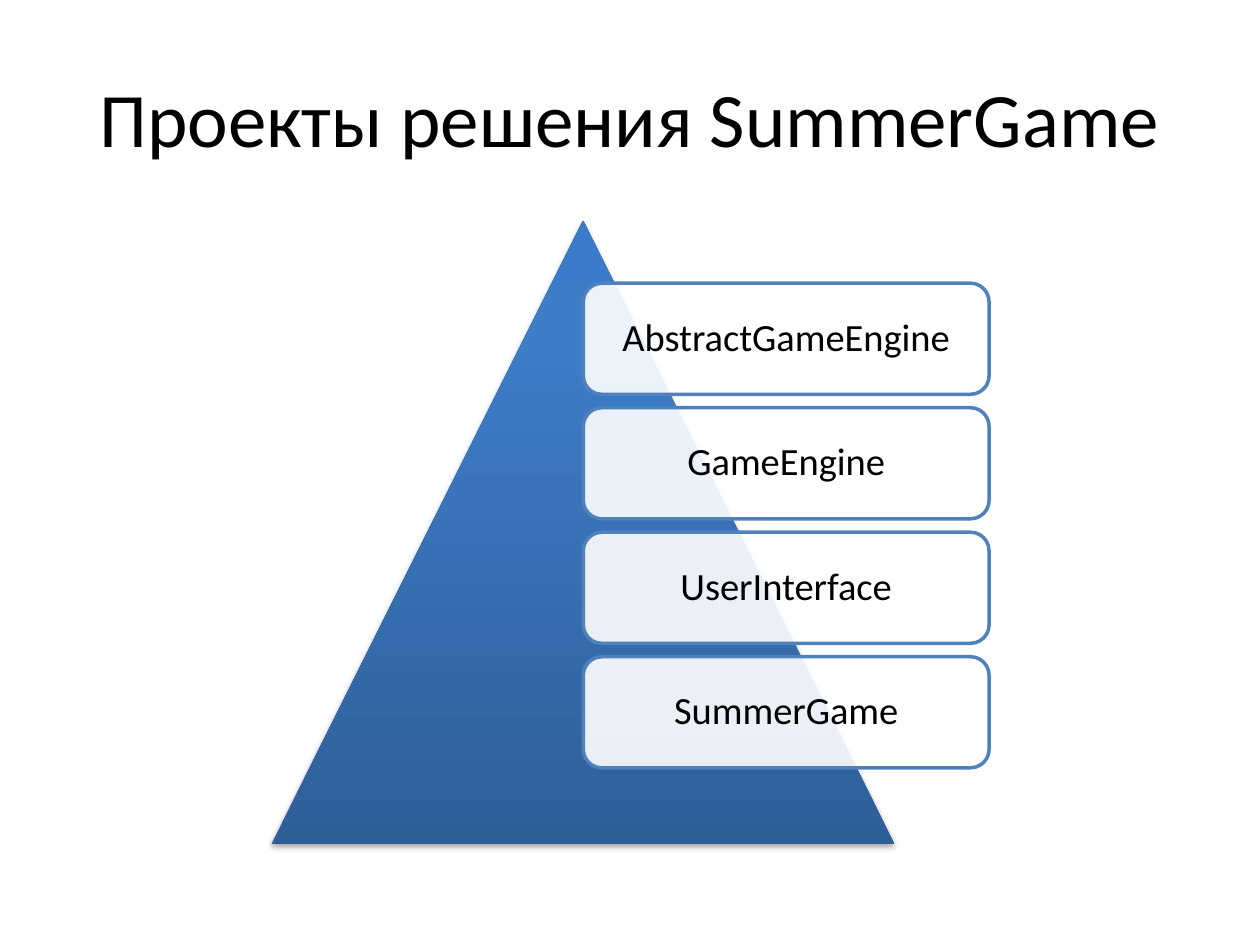
from lxml.etree import SubElement as Sub
from pptx import Presentation
from pptx.dml.color import RGBColor
from pptx.enum.shapes import MSO_SHAPE as Shape
from pptx.enum.text import MSO_ANCHOR as Anchor, PP_ALIGN as Align
from pptx.oxml.ns import qn
from pptx.util import Cm, Pt


def color(code):
    return RGBColor.from_string(code)


def shade(node, code, alpha=None):
    tone = Sub(node, qn("a:srgbClr"), val=code)
    if alpha is not None:
        Sub(tone, qn("a:alpha"), val=str(alpha * 1000))


def write(frame, text, size=22, font="Calibri", ink="000000", inset=0.23, space=None):
    frame.word_wrap = True
    frame.vertical_anchor = Anchor.MIDDLE
    frame.margin_left = frame.margin_right = Cm(inset)
    frame.margin_top = frame.margin_bottom = Cm(inset)
    para = frame.paragraphs[0]
    para.alignment = Align.CENTER
    para.line_spacing = space
    run = para.add_run()
    run.text = text
    run.font.size = Pt(size)
    run.font.name = font
    run.font.color.rgb = color(ink)


class Deck:
    edge = "4F81BD"
    ramp = [(0, "2F5F99"), (80, "3D7CC7"), (100, "3A7CCB")]

    def __init__(self):
        self.show = Presentation()
        self.show.slide_width = Cm(25.4)
        self.show.slide_height = Cm(19.05)
        self.slide = self.show.slides.add_slide(self.show.slide_layouts[5])
        self.group = self.slide.shapes.add_group_shape()

    def title(self, text, *place):
        head = self.slide.shapes.title
        head.left, head.top, head.width, head.height = map(Cm, place)
        write(head.text_frame, text, size=44)

    def shape(self, kind, *place):
        item = self.group.shapes.add_shape(kind, *map(Cm, place))
        item.shadow.inherit = False
        return item

    def peak(self, *place):
        item = self.shape(Shape.ISOSCELES_TRIANGLE, *place)
        item.line.fill.background()
        item.fill.gradient()
        item.fill.gradient_angle = 90
        props = item.element.spPr
        stops = props.find(".//" + qn("a:gsLst"))
        for stop in list(stops):
            stops.remove(stop)
        for pos, code in self.ramp:
            shade(Sub(stops, qn("a:gs"), pos=str(pos * 1000)), code)
        cast = Sub(props.find(qn("a:effectLst")), qn("a:outerShdw"),
                   blurRad=str(Pt(3.1)), dist=str(Pt(1.8)),
                   dir="5400000", rotWithShape="0")
        shade(cast, "000000", 35)

    def card(self, text, *place):
        item = self.shape(Shape.ROUNDED_RECTANGLE, *place)
        item.fill.solid()
        item.fill.fore_color.rgb = color("FFFFFF")
        tone = item.element.spPr.find(qn("a:solidFill"))[0]
        Sub(tone, qn("a:alpha"), val="90000")
        item.line.color.rgb = color(self.edge)
        item.line.width = Pt(2)
        write(item.text_frame, text, space=0.9)


def main():
    deck = Deck()
    deck.title("Проекты решения SummerGame", 1.27, 0.76, 22.86, 3.18)
    deck.peak(5.47, 4.45, 12.57, 12.57)
    names = ["AbstractGameEngine", "GameEngine", "UserInterface", "SummerGame"]
    for row, name in enumerate(names):
        deck.card(name, 11.76, 5.71 + 2.51 * row, 8.18, 2.24)
    deck.show.save("out.pptx")


if __name__ == "__main__":
    main()
